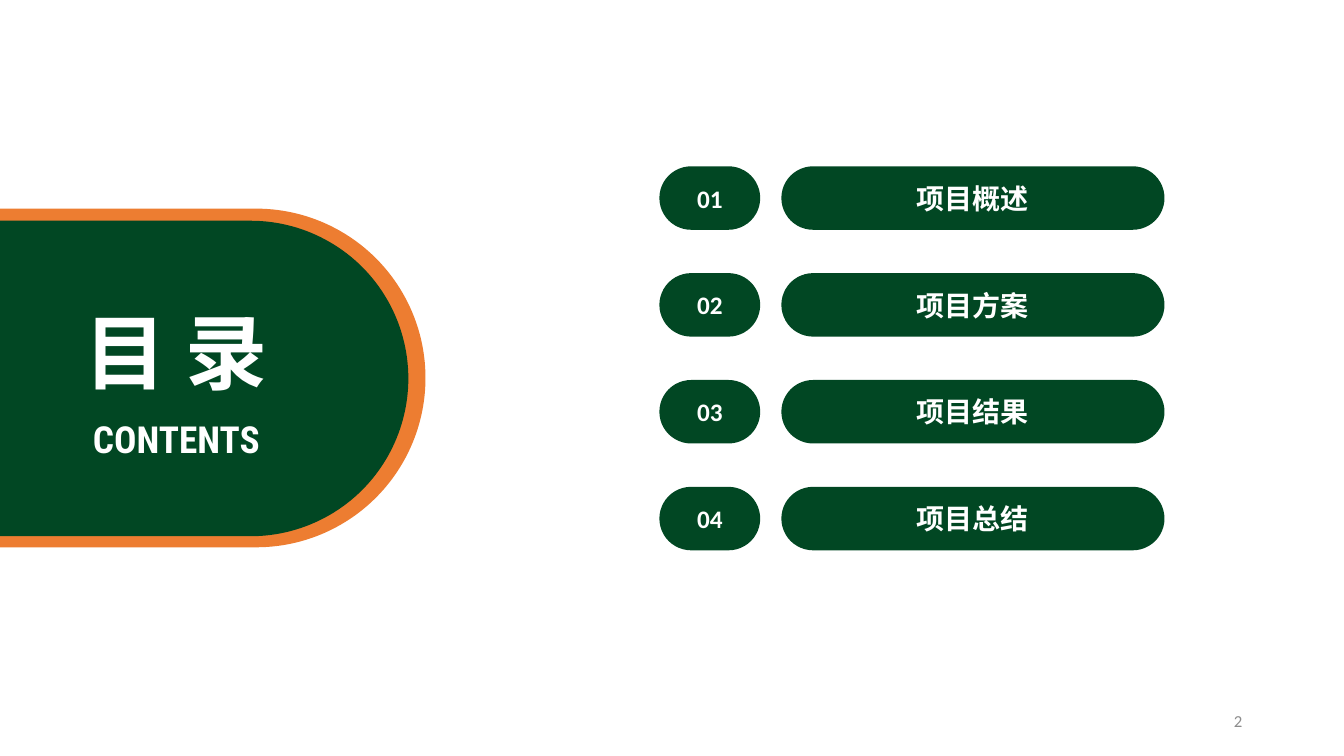
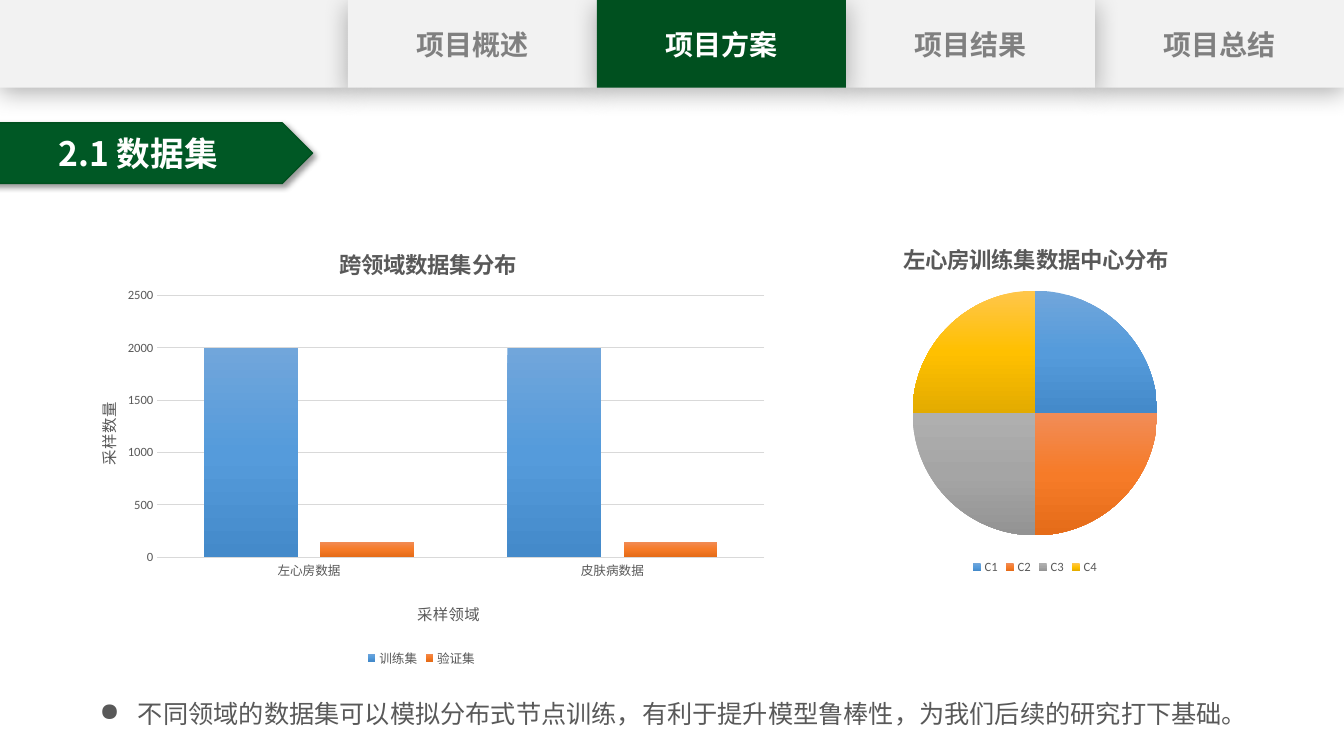
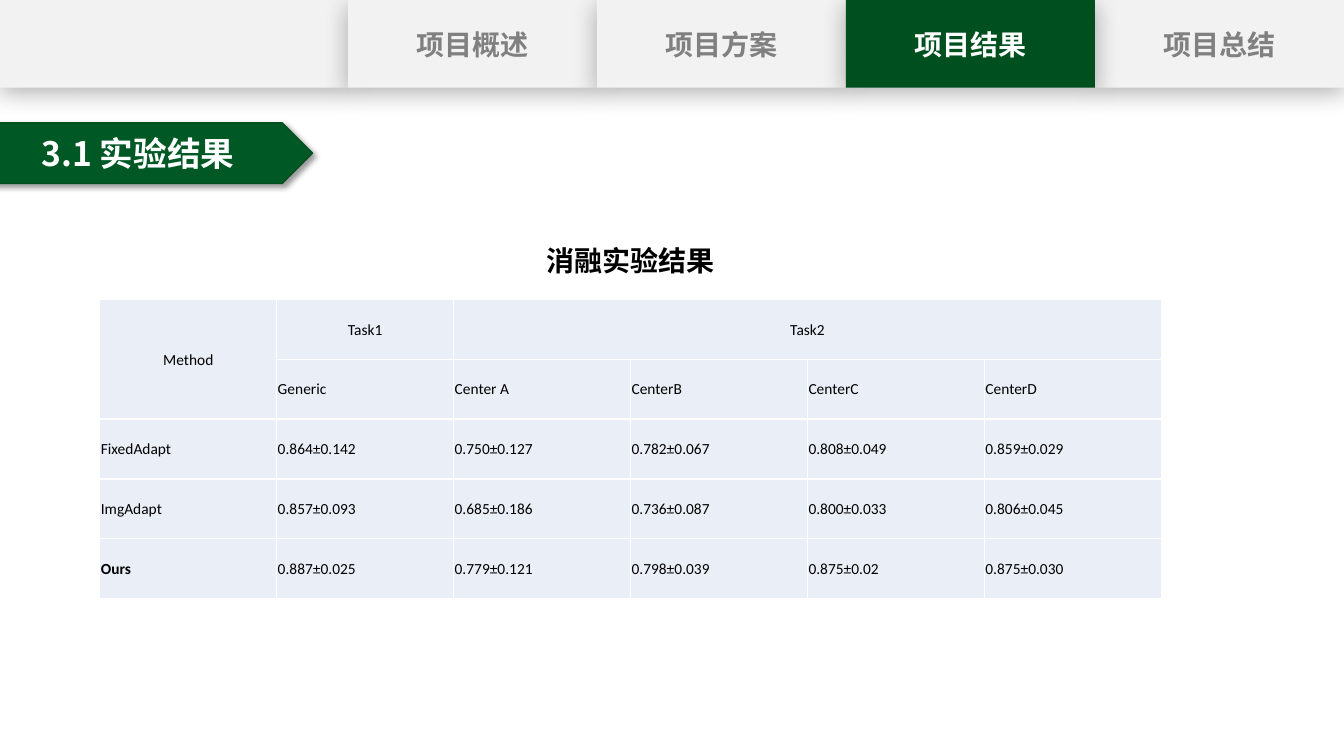
from dataclasses import dataclass

from pptx import Presentation
from pptx.chart.data import CategoryChartData
from pptx.dml.color import RGBColor
from pptx.enum.chart import XL_CHART_TYPE, XL_LEGEND_POSITION, XL_TICK_MARK
from pptx.enum.shapes import MSO_SHAPE
from pptx.enum.text import MSO_ANCHOR, MSO_AUTO_SIZE, PP_ALIGN
from pptx.oxml import parse_xml
from pptx.oxml.ns import nsdecls, qn
from pptx.util import Pt

PX = 9144
SECTIONS = ["项目概述", "项目方案", "项目结果", "项目总结"]


@dataclass(frozen=True)
class Theme:
    latin: str = "Calibri"
    chinese: str = "Noto Sans CJK SC"
    condensed: str = "Roboto Condensed"
    white: str = "FFFFFF"
    black: str = "000000"
    orange: str = "ED7D31"
    panel: str = "014723"
    ribbon: str = "005825"
    active: str = "00501F"
    tab: str = "F2F2F2"
    tab_text: str = "808080"
    page_text: str = "8C8C8C"
    body_text: str = "595959"
    grid: str = "D9D9D9"
    cell: str = "EAEFF7"
    cover_size: float = 58.6
    cover_sub_size: float = 26.6
    title_size: int = 24
    heading_size: int = 20
    body_size: int = 18
    chart_title_size: int = 16
    page_size: int = 12
    small_size: int = 11
    label_size: int = 9
    tab_shadow: tuple = (29, 18, 4, 90)
    ribbon_shadow: tuple = (40, 4, 3, 45)
    gradients: tuple = (
        ("71A6DB", "559BDB", "448ACA"),
        ("F18C57", "F67B28", "E56C19"),
        ("AFAFAF", "A5A5A5", "939393"),
        ("FFC64B", "FFC000", "E3AB00"),
    )


class Deck:
    """Holds the theme and the current slide, and draws each kind of element."""

    def __init__(self, theme):
        self.theme = theme
        self.prs = Presentation()
        self.prs.slide_width, self.prs.slide_height = 1333 * PX, 750 * PX
        self.slide = None

    def new_slide(self):
        self.slide = self.prs.slides.add_slide(self.prs.slide_layouts[5])

    def put_text(self, frame, text, size, color, bold=False, font=None, align=PP_ALIGN.CENTER):
        frame.text = text
        paragraph = frame.paragraphs[0]
        paragraph.alignment = align
        for run in paragraph.runs:
            run.font.size = Pt(size)
            run.font.bold = bold
            run.font.color.rgb = RGBColor.from_string(color)
            run.font.name = font or self.theme.latin
            run._r.get_or_add_rPr().append(
                parse_xml(f'<a:ea {nsdecls("a")} typeface="{self.theme.chinese}"/>'))
        return paragraph

    def title(self, box, text, size):
        title = self.slide.shapes.title
        title.left, title.top, title.width, title.height = [v * PX for v in box]
        frame = title.text_frame
        frame.auto_size = MSO_AUTO_SIZE.NONE
        frame.word_wrap = False
        frame.vertical_anchor = MSO_ANCHOR.MIDDLE
        self.put_text(frame, text, size, self.theme.white, True, self.theme.chinese)
        self.slide.shapes._spTree.append(title._element)

    def text(self, box, text, size, color, wrap=True, **style):
        frame = self.slide.shapes.add_textbox(*[v * PX for v in box]).text_frame
        frame.word_wrap = wrap
        frame.vertical_anchor = MSO_ANCHOR.MIDDLE
        return self.put_text(frame, text, size, color, **style)

    def bullet(self, box, text):
        paragraph = self.text(box, text, self.theme.body_size, self.theme.body_text,
                              font=self.theme.chinese, align=PP_ALIGN.LEFT)
        properties = paragraph._p.get_or_add_pPr()
        properties.set("marL", str(38 * PX))
        properties.set("indent", str(-38 * PX))
        properties.append(parse_xml(f'<a:buChar {nsdecls("a")} char="●"/>'))

    def shape(self, kind, box, fill, line=None, shadow=None):
        shape = self.slide.shapes.add_shape(kind, *[v * PX for v in box])
        shape.fill.solid()
        shape.fill.fore_color.rgb = RGBColor.from_string(fill)
        if line:
            shape.line.color.rgb = RGBColor.from_string(line)
            shape.line.width = Pt(1)
        else:
            shape.line.fill.background()
        shape.shadow.inherit = False
        if shadow:
            alpha, blur, distance, angle = shadow
            shape._element.spPr.find(qn("a:effectLst")).append(parse_xml(
                f'<a:outerShdw {nsdecls("a")} blurRad="{Pt(blur)}" dist="{Pt(distance)}" '
                f'dir="{angle * 60000}" rotWithShape="0"><a:srgbClr val="{self.theme.black}">'
                f'<a:alpha val="{alpha * 1000}"/></a:srgbClr></a:outerShdw>'))
        return shape

    def pill(self, box, fill, text="", size=None):
        pill = self.shape(MSO_SHAPE.ROUNDED_RECTANGLE, box, fill)
        pill.adjustments[0] = 0.5
        if text:
            self.put_text(pill.text_frame, text, size, self.theme.white, True)

    def section_header(self, active, title):
        theme = self.theme
        first, pitch, height = 345, 247, 87
        self.shape(MSO_SHAPE.RECTANGLE, (0, 0, first, height), theme.tab, shadow=theme.tab_shadow)
        for i in sorted(range(len(SECTIONS)), key=lambda i: -abs(i - active)):
            fill, color = (theme.active, theme.white) if i == active else (theme.tab, theme.tab_text)
            tab = self.shape(MSO_SHAPE.RECTANGLE, (first + pitch * i, 0, pitch, height), fill,
                             shadow=theme.tab_shadow)
            self.put_text(tab.text_frame, SECTIONS[i], theme.heading_size, color, True, theme.chinese)
        ribbon = (-36, 122, 346, 60)
        self.shape(MSO_SHAPE.CHEVRON, ribbon, theme.ribbon, theme.active, theme.ribbon_shadow)
        self.title(ribbon, title, theme.title_size)

    def gradient(self, fmt, colors):
        stops = "".join(f'<a:gs pos="{i * 50000}"><a:srgbClr val="{color}"/></a:gs>'
                        for i, color in enumerate(colors))
        fmt._element.get_or_add_spPr().insert(0, parse_xml(
            f'<a:gradFill {nsdecls("a")} rotWithShape="1"><a:gsLst>{stops}</a:gsLst>'
            f'<a:lin ang="5400000" scaled="0"/></a:gradFill>'))

    def arrange(self, part, index, **place):
        for old in part.findall(qn("c:layout")):
            part.remove(old)
        inner = '<c:layoutTarget val="inner"/>' if "w" in place else ""
        values = "".join(f'<c:{key} val="{value}"/>' for key, value in place.items())
        part.insert(index, parse_xml(
            f'<c:layout {nsdecls("c")}><c:manualLayout>{inner}<c:xMode val="edge"/>'
            f'<c:yMode val="edge"/>{values}</c:manualLayout></c:layout>'))

    def chart_text(self, title, text, size, bold, x, y):
        self.put_text(title.text_frame, text, size, self.theme.body_text, bold)
        self.arrange(title._element, 1, x=x, y=y)

    def label_font(self, font):
        font.name = self.theme.latin
        font.size = Pt(self.theme.label_size)
        font.color.rgb = RGBColor.from_string(self.theme.body_text)

    def chart(self, kind, box, title, title_at, plot, categories, series):
        data = CategoryChartData()
        data.categories = categories
        for name, values in series:
            data.add_series(name, values)
        chart = self.slide.shapes.add_chart(kind, *[v * PX for v in box], data).chart
        self.label_font(chart.font)
        chart.has_title = True
        self.chart_text(chart.chart_title, title, self.theme.chart_title_size, True, *title_at)
        chart.has_legend = True
        chart.legend.position = XL_LEGEND_POSITION.BOTTOM
        chart.legend.include_in_layout = False
        self.label_font(chart.legend.font)
        x, y, w, h = plot
        self.arrange(chart._chartSpace.chart.plotArea, 0, x=x, y=y, w=w, h=h)
        return chart

    def column_chart(self, box, axis_titles, **content):
        theme = self.theme
        chart = self.chart(XL_CHART_TYPE.COLUMN_CLUSTERED, box, **content)
        plot = chart.plots[0]
        plot.gap_width, plot.overlap, plot.vary_by_categories = 100, -24, False
        for series, colors in zip(plot.series, theme.gradients):
            self.gradient(series.format, colors)
        category, value = chart.category_axis, chart.value_axis
        for axis, (text, x, y) in zip((category, value), axis_titles):
            axis.major_tick_mark = axis.minor_tick_mark = XL_TICK_MARK.NONE
            self.label_font(axis.tick_labels.font)
            axis.has_title = True
            self.chart_text(axis.axis_title, text, theme.small_size, False, x, y)
        turned = value.axis_title.text_frame._txBody.find(qn("a:bodyPr"))
        turned.set("rot", "-5400000")
        turned.set("vert", "horz")
        category.format.line.color.rgb = RGBColor.from_string(theme.grid)
        category.format.line.width = Pt(1)
        value.format.line.fill.background()
        value.minimum_scale, value.maximum_scale, value.major_unit = 0, 2500, 500
        gridline = value.major_gridlines.format.line
        gridline.color.rgb = RGBColor.from_string(theme.grid)
        gridline.width = Pt(0.75)

    def pie_chart(self, box, **content):
        plot = self.chart(XL_CHART_TYPE.PIE, box, **content).plots[0]
        plot.vary_by_categories = True
        for i, colors in enumerate(self.theme.gradients):
            self.gradient(plot.series[0].points[i].format, colors)

    def table(self, box, rows, merges, bold_cells):
        theme = self.theme
        table = self.slide.shapes.add_table(
            len(rows), len(rows[0]), *[v * PX for v in box]).table
        table.first_row = table.horz_banding = False
        for r, row in enumerate(rows):
            for c, text in enumerate(row):
                cell = table.cell(r, c)
                cell.margin_left = cell.margin_right = cell.margin_top = PX
                cell.margin_bottom = 0
                cell.vertical_anchor = MSO_ANCHOR.MIDDLE
                cell.fill.solid()
                cell.fill.fore_color.rgb = RGBColor.from_string(theme.cell)
                for i, side in enumerate("LRTB"):
                    cell._tc.get_or_add_tcPr().insert(i, parse_xml(
                        f'<a:ln{side} {nsdecls("a")} w="{Pt(1)}"><a:solidFill>'
                        f'<a:srgbClr val="{theme.white}"/></a:solidFill></a:ln{side}>'))
                if text:
                    self.put_text(cell.text_frame, text, theme.small_size, theme.black,
                                  (r, c) in bold_cells,
                                  align=PP_ALIGN.LEFT if r else PP_ALIGN.CENTER)
        for start, end in merges:
            table.cell(*start).merge(table.cell(*end))


def contents_slide(deck):
    theme = deck.theme
    deck.new_slide()
    deck.pill((-196, 207, 618, 336), theme.orange)
    deck.pill((-170, 219, 575, 313), theme.panel)
    for i, section in enumerate(SECTIONS):
        top = 165 + 106 * i
        deck.pill((654, top, 100, 63), theme.panel, f"{i + 1:02}", theme.body_size)
        deck.pill((775, top, 380, 63), theme.panel, section, theme.heading_size)
    deck.text((62, 408, 226, 55), "CONTENTS", theme.cover_sub_size, theme.white,
              wrap=False, bold=True, font=theme.condensed)
    deck.title((70, 293, 209, 109), "目 录", theme.cover_size)
    deck.text((942, 695, 300, 40), "2", theme.page_size, theme.page_text, align=PP_ALIGN.RIGHT)


def dataset_slide(deck):
    deck.new_slide()
    deck.section_header(1, "2.1 数据集")
    deck.bullet((89, 683, 1255, 50),
                "不同领域的数据集可以模拟分布式节点训练，有利于提升模型鲁棒性，为我们后续的研究打下基础。")
    deck.column_chart(
        (64, 217, 708, 448),
        axis_titles=[("采样领域", 0.49, 0.84), ("采样数量", 0.04, 0.4)],
        title="跨领域数据集分布", title_at=(0.38, 0.05), plot=(0.13, 0.17, 0.85, 0.58),
        categories=["左心房数据", "皮肤病数据"],
        series=[("训练集", (2000, 2000)), ("验证集", (150, 150))])
    deck.pie_chart(
        (735, 217, 583, 357),
        title="左心房训练集数据中心分布", title_at=(0.27, 0.05), plot=(0.29, 0.2, 0.42, 0.68),
        categories=["C1", "C2", "C3", "C4"], series=[("Series 1", (25, 25, 25, 25))])


def results_slide(deck):
    theme = deck.theme
    deck.new_slide()
    deck.section_header(2, "3.1 实验结果")
    deck.text((513, 236, 225, 44), "消融实验结果", theme.heading_size, theme.black, bold=True)
    rows = [
        ["Method", "Task1", "Task2", "", "", ""],
        ["", "Generic", "Center A", "CenterB", "CenterC", "CenterD"],
        ["FixedAdapt", "0.864±0.142", "0.750±0.127", "0.782±0.067", "0.808±0.049", "0.859±0.029"],
        ["ImgAdapt", "0.857±0.093", "0.685±0.186", "0.736±0.087", "0.800±0.033", "0.806±0.045"],
        ["Ours", "0.887±0.025", "0.779±0.121", "0.798±0.039", "0.875±0.02", "0.875±0.030"],
    ]
    deck.table((99, 297, 1053, 297), rows,
               merges=[((0, 0), (1, 0)), ((0, 2), (0, 5))], bold_cells={(4, 0)})


def main():
    deck = Deck(Theme())
    contents_slide(deck)
    dataset_slide(deck)
    results_slide(deck)
    deck.prs.save("out.pptx")


if __name__ == "__main__":
    main()
